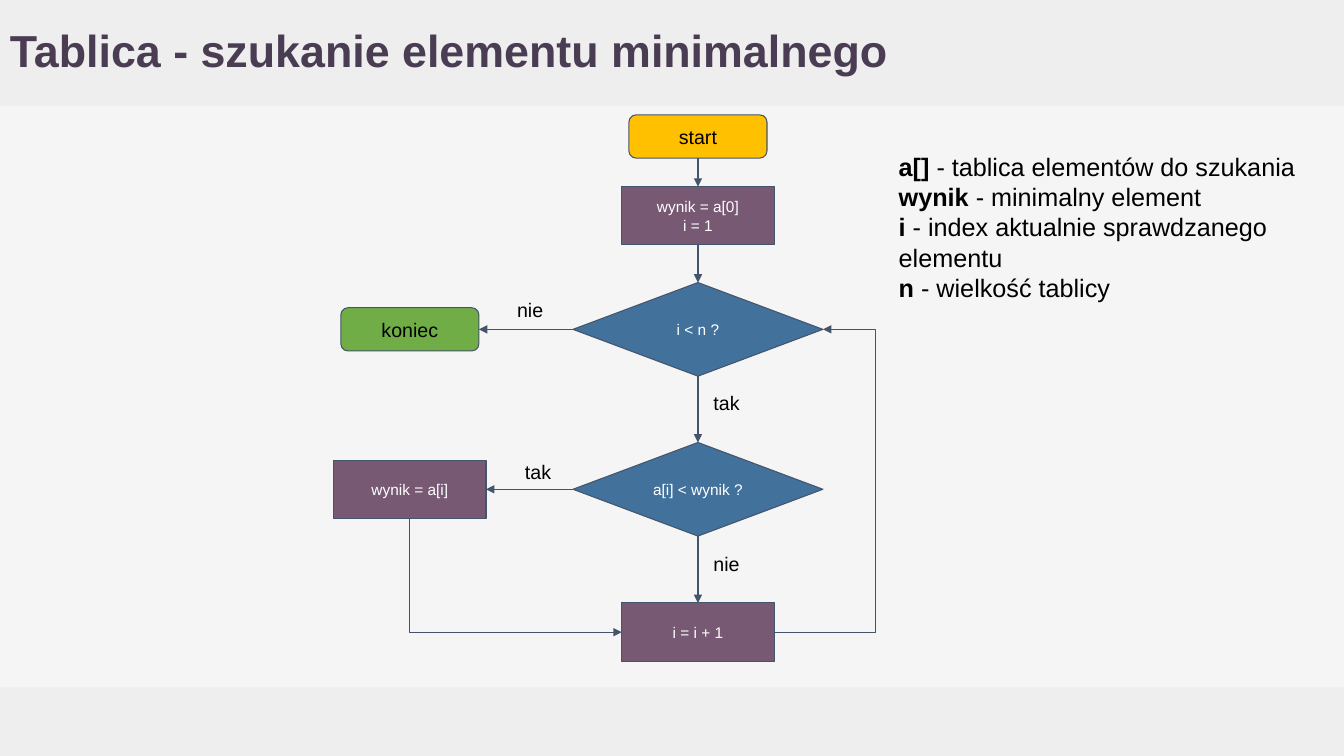
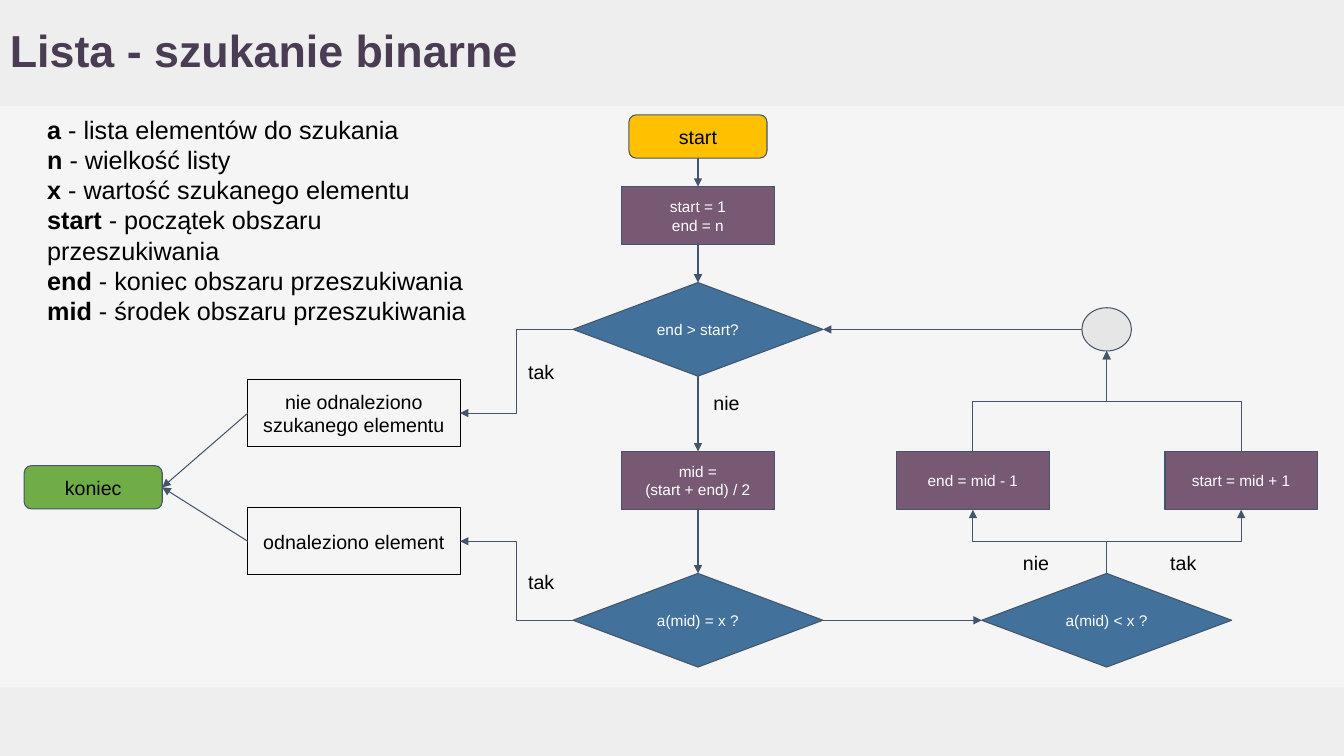
from lxml.etree import SubElement
from pptx import Presentation
from pptx.dml.color import RGBColor
from pptx.enum.shapes import MSO_CONNECTOR as Route, MSO_SHAPE as Outline
from pptx.enum.text import MSO_ANCHOR as Anchor, MSO_AUTO_SIZE as AutoSize, PP_ALIGN as Align
from pptx.oxml.ns import qn
from pptx.util import Cm, Pt

COLORS = {
    "page": "F5F5F5", "band": "EEEEEE", "title": "4A3D53", "line": "44546A",
    "start": "FFC000", "end": "70AD47", "process": "775973", "decision": "42719B",
    "join": "E7E6E6", "black": "000000", "white": "FFFFFF",
}
KINDS = {
    "start": (Outline.ROUNDED_RECTANGLE, 3.48, 1.09, "start", "line", 14, "black"),
    "end": (Outline.ROUNDED_RECTANGLE, 3.48, 1.09, "end", "line", 14, "black"),
    "process": (Outline.RECTANGLE, 3.84, 1.47, "process", "line", 11, "white"),
    "decision": (Outline.DIAMOND, 6.3, 2.36, "decision", "line", 11, "white"),
    "result": (Outline.RECTANGLE, 5.35, 1.68, None, "black", 14, "black"),
    "join": (Outline.FLOWCHART_CONNECTOR, 1.25, 1.09, "join", "line", 14, "black"),
}
TOP, LEFT, BOTTOM, RIGHT = range(4)
WIDTH, HEIGHT = 33.87, 19.05
TITLE_HEIGHT, FOOTER_HEIGHT = 2.67, 1.73
AXIS, FIRST_TEST = 17.59, 8.3


def color(name):
    return RGBColor.from_string(COLORS[name])


class FlowDeck:
    """Hold the shared style and draw flowchart elements on the current slide."""

    def __init__(self):
        self.deck = Presentation()
        self.deck.slide_width, self.deck.slide_height = Cm(WIDTH), Cm(HEIGHT)
        self.layout = self.deck.slide_layouts.get_by_name("Title Only")
        page = self.deck.slide_master.background.fill
        page.solid()
        page.fore_color.rgb = color("page")
        self.slide = None

    def open_slide(self, heading):
        self.slide = self.deck.slides.add_slide(self.layout)
        if len(self.deck.slides) == 1:
            self.share_bands()
        title = self.slide.shapes.title
        title.left, title.top = Cm(0), Cm(0)
        title.width, title.height = Cm(30.28), Cm(TITLE_HEIGHT)
        title.text_frame.text = heading
        self.set_text(title.text_frame, 32, "title", Align.LEFT, Anchor.MIDDLE)
        paragraph = title.text_frame.paragraphs[0]
        paragraph.line_spacing = 0.9
        paragraph.runs[0].font.bold = True

    def share_bands(self):
        for top, height in ((HEIGHT - FOOTER_HEIGHT, FOOTER_HEIGHT), (0, TITLE_HEIGHT)):
            band = self.add_outline(Outline.RECTANGLE, 0, top, WIDTH, height, "band", None)
            self.layout.shapes.element.insert(2, band.element)

    def add_outline(self, outline, left, top, width, height, fill, line):
        shape = self.slide.shapes.add_shape(outline, Cm(left), Cm(top), Cm(width), Cm(height))
        shape.shadow.inherit = False
        if fill:
            shape.fill.solid()
            shape.fill.fore_color.rgb = color(fill)
        else:
            shape.fill.background()
        if line:
            shape.line.color.rgb = color(line)
            shape.line.width = Pt(0.75)
        else:
            shape.line.fill.background()
        return shape

    def set_text(self, frame, size, ink, align, anchor):
        frame.word_wrap = True
        frame.auto_size = AutoSize.NONE
        frame.vertical_anchor = anchor
        frame.margin_left = frame.margin_right = Cm(0.25)
        frame.margin_top = frame.margin_bottom = Cm(0.25)
        for paragraph in frame.paragraphs:
            paragraph.alignment = align
            for run in paragraph.runs:
                run.font.name = "Arial"
                run.font.size = Pt(size)
                run.font.color.rgb = color(ink)

    def node(self, kind, center_x, center_y, words=""):
        outline, width, height, fill, line, size, ink = KINDS[kind]
        left, top = center_x - width / 2, center_y - height / 2
        shape = self.add_outline(outline, left, top, width, height, fill, line)
        if words:
            shape.text_frame.text = words
            self.set_text(shape.text_frame, size, ink, Align.CENTER, Anchor.MIDDLE)
        return shape

    def label(self, left, top, words):
        box = self.slide.shapes.add_textbox(Cm(left), Cm(top), Cm(1.37), Cm(1.09))
        box.text_frame.text = words
        self.set_text(box.text_frame, 14, "black", Align.LEFT, Anchor.TOP)

    def legend(self, left, top, height, entries):
        box = self.slide.shapes.add_textbox(Cm(left), Cm(top), Cm(11.33), Cm(height))
        frame = box.text_frame
        frame.text = "\n".join(term for term, _ in entries)
        for paragraph, (_, meaning) in zip(frame.paragraphs, entries):
            paragraph.runs[0].font.bold = True
            paragraph.add_run().text = f" - {meaning}"
        self.set_text(frame, 18, "black", Align.LEFT, Anchor.TOP)

    def arrow(self, source, source_side, target, target_side, bent=False, bend=None):
        route = Route.ELBOW if bent else Route.STRAIGHT
        link = self.slide.shapes.add_connector(route, 0, 0, 0, 0)
        link.begin_connect(source, source_side)
        link.end_connect(target, target_side)
        if target.auto_shape_type == Outline.FLOWCHART_CONNECTOR:
            link.element.xpath(".//a:endCxn")[0].set("idx", str(2 * target_side))
        if source.auto_shape_type == Outline.FLOWCHART_CONNECTOR:
            link.element.xpath(".//a:stCxn")[0].set("idx", str(2 * source_side))
        if bent and source_side in (TOP, BOTTOM):
            self.turn_upright(link)
        properties = link.element.spPr
        geometry = properties.find(qn("a:prstGeom"))
        if bent and (source_side + target_side) % 2:
            geometry.set("prst", "bentConnector2")
        if bend:
            guides = geometry.find(qn("a:avLst"))
            SubElement(guides, qn("a:gd"), name="adj1", fmla=f"val {bend}")
        link.line.color.rgb = color("line")
        link.line.width = Pt(0.75)
        SubElement(properties.find(qn("a:ln")), qn("a:tailEnd"), type="triangle")
        SubElement(properties, qn("a:effectLst"))

    def turn_upright(self, link):
        across, down = link.end_x - link.begin_x, link.end_y - link.begin_y
        middle_x = (link.begin_x + link.end_x) // 2
        middle_y = (link.begin_y + link.end_y) // 2
        run = down if across < 0 else -down
        rise = abs(across)
        link.begin_x, link.begin_y = middle_x - run // 2, middle_y - rise // 2
        link.end_x, link.end_y = middle_x + run // 2, middle_y + rise // 2
        link.rotation = 90 if across < 0 else 270

    def opening(self, setup_words, test_words):
        start = self.node("start", AXIS, 3.44, "start")
        setup = self.node("process", AXIS, 5.44, setup_words)
        test = self.node("decision", AXIS, FIRST_TEST, test_words)
        self.chain(start, setup, test)
        return test

    def chain(self, *steps):
        for upper, lower in zip(steps, steps[1:]):
            self.arrow(upper, BOTTOM, lower, TOP)


def draw_minimum(flow):
    flow.open_slide("Tablica - szukanie elementu minimalnego")
    side_x, compare_y = 10.33, 12.33
    more = flow.opening("wynik = a[0]\ni = 1", "i < n ?")
    compare = flow.node("decision", AXIS, compare_y, "a[i] < wynik ?")
    advance = flow.node("process", AXIS, 15.93, "i = i + 1")
    finish = flow.node("end", side_x, FIRST_TEST, "koniec")
    update = flow.node("process", side_x, compare_y, "wynik = a[i]")
    flow.chain(more, compare, advance)
    flow.arrow(more, LEFT, finish, RIGHT)
    flow.arrow(compare, LEFT, update, RIGHT)
    flow.arrow(update, BOTTOM, advance, LEFT, bent=True)
    flow.arrow(advance, RIGHT, more, RIGHT, bent=True, bend=208000)
    for left, top, answer in ((12.78, 7.26, "nie"), (17.73, 9.6, "tak"),
                              (12.98, 11.35, "tak"), (17.73, 13.67, "nie")):
        flow.label(left, top, answer)
    flow.legend(22.4, 3.56, 4.93, [
        ("a[]", "tablica elementów do szukania"),
        ("wynik", "minimalny element"),
        ("i", "index aktualnie sprawdzanego elementu"),
        ("n", "wielkość tablicy"),
    ])


def draw_binary_search(flow):
    flow.open_slide("Lista - szukanie binarne")
    middle_y, compare_y, result_x, loop_x = 12.11, 15.63, 8.92, 27.89
    crossed = flow.opening("start = 1\nend = n", "end > start?")
    middle = flow.node("process", AXIS, middle_y, "mid =\n(start + end) / 2")
    equal = flow.node("decision", AXIS, compare_y, "a(mid) = x ?")
    less = flow.node("decision", loop_x, compare_y, "a(mid) < x ?")
    lower_end = flow.node("process", 24.52, middle_y, "end = mid - 1")
    raise_start = flow.node("process", 31.28, middle_y, "start = mid + 1")
    join = flow.node("join", loop_x, FIRST_TEST)
    missing = flow.node("result", result_x, 10.41, "nie odnaleziono szukanego elementu")
    found = flow.node("result", result_x, 13.64, "odnaleziono element")
    finish = flow.node("end", 2.35, 12.28, "koniec")
    flow.chain(crossed, middle, equal)
    for test, result in ((crossed, missing), (equal, found)):
        flow.arrow(test, LEFT, result, RIGHT, bent=True)
        flow.arrow(result, LEFT, finish, RIGHT)
    flow.arrow(equal, RIGHT, less, LEFT)
    for change in (lower_end, raise_start):
        flow.arrow(less, TOP, change, BOTTOM, bent=True)
        flow.arrow(change, TOP, join, BOTTOM, bent=True)
    flow.arrow(join, LEFT, crossed, RIGHT)
    for left, top, answer in ((13.06, 8.81, "tak"), (17.73, 9.6, "nie"), (13.06, 14.1, "tak"),
                              (25.53, 13.64, "nie"), (29.24, 13.64, "tak")):
        flow.label(left, top, answer)
    flow.legend(0.94, 2.62, 6.25, [
        ("a", "lista elementów do szukania"),
        ("n", "wielkość listy"),
        ("x", "wartość szukanego elementu"),
        ("start", "początek obszaru przeszukiwania"),
        ("end", "koniec obszaru przeszukiwania"),
        ("mid", "środek obszaru przeszukiwania"),
    ])


def main():
    flow = FlowDeck()
    draw_minimum(flow)
    draw_binary_search(flow)
    flow.deck.save("out.pptx")


if __name__ == "__main__":
    main()
